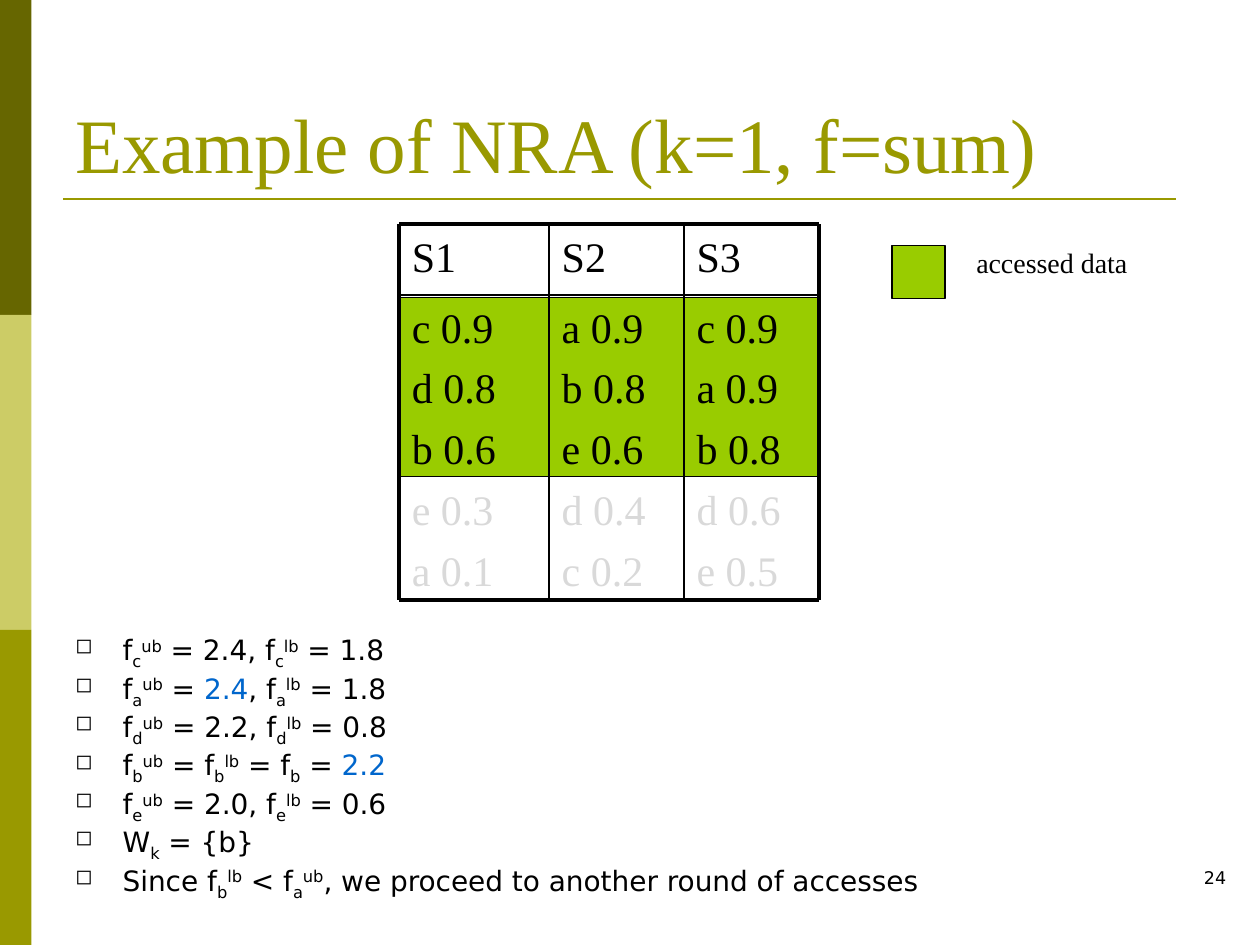
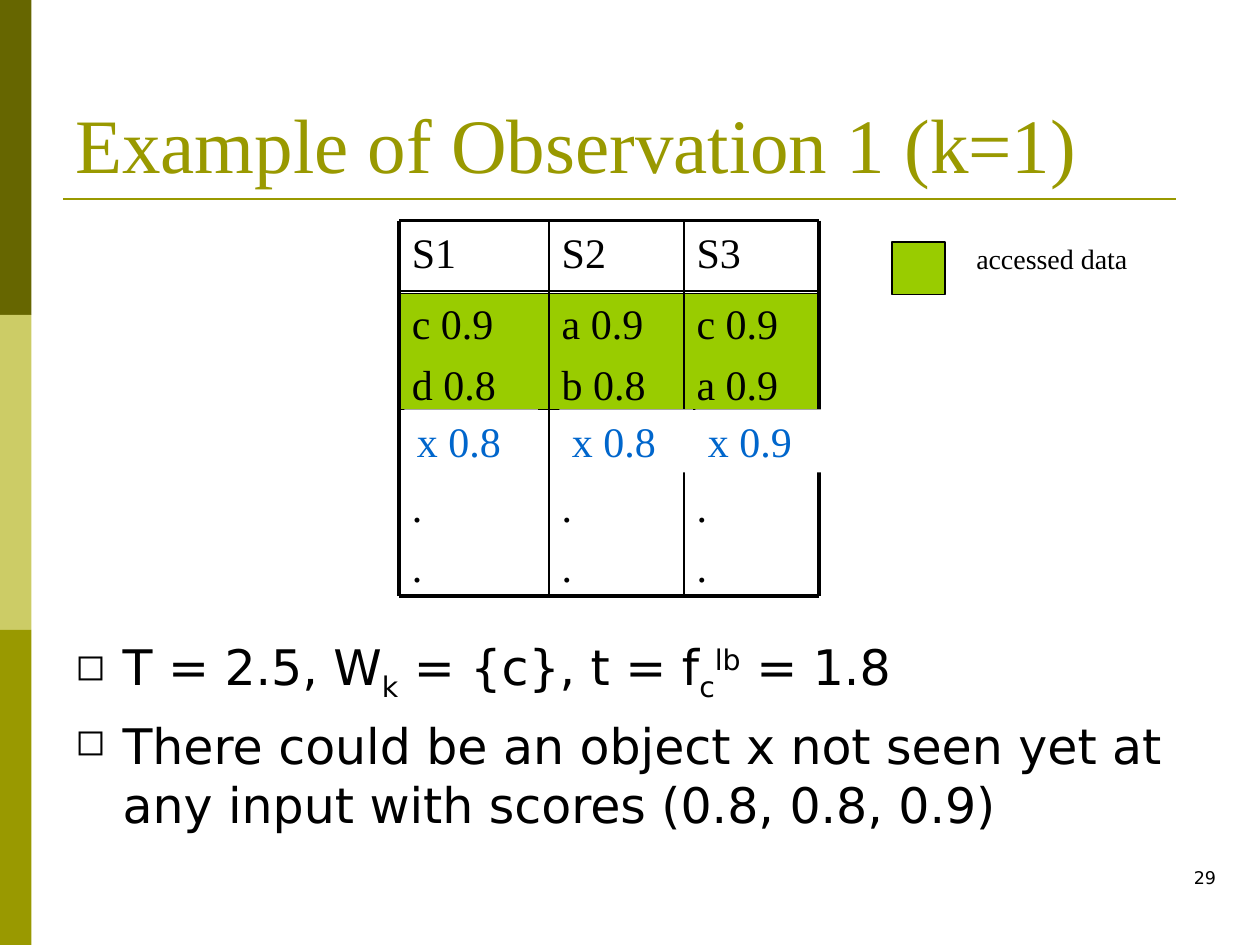
from dataclasses import dataclass
from itertools import accumulate

from lxml import etree
from pptx import Presentation
from pptx import util as u
from pptx.dml.color import RGBColor
from pptx.enum import shapes, text
from pptx.oxml.ns import qn


@dataclass(frozen=True)
class Theme:
    dark: str = "666600"
    pale: str = "CCCC66"
    olive: str = "999900"
    accessed: str = "99CC00"
    ink: str = "000000"
    faded: str = "D9D9D9"
    highlight: str = "0066CC"
    paper: str = "FFFFFF"
    serif: str = "Times New Roman"
    sans: str = "DejaVu Sans"
    title_size: int = 44
    point_size: int = 28
    cell_size: int = 24
    small_size: int = 16
    number_size: int = 10
    thick: float = 2.25
    thin: float = 1


THEME = Theme()
GRID_LEFT = 3.17
COLUMN_WIDTHS = (1.19, 1.07, 1.07)
HEADER_HEIGHT = 0.56
BODY_HEIGHT = 2.42
INDENT = 3 / 8


def subscript(label):
    return label, {"baseline": -25000}


def superscript(label):
    return label, {"baseline": 30000}


def blue(label):
    return label, {"color": THEME.highlight}


def faded(*scores):
    return [(score, {"color": THEME.faded}) for score in scores]


def bound(item, kind):
    return ["f", subscript(item), superscript(kind)]


def write(frame, paragraphs, font=THEME.serif, size=THEME.cell_size, color=THEME.ink,
          align=None, before=0, spacing=None, bullet=False):
    for index, runs in enumerate(paragraphs):
        paragraph = frame.paragraphs[0] if index == 0 else frame.add_paragraph()
        paragraph.alignment = align
        paragraph.space_before = u.Pt(before)
        if spacing:
            paragraph.line_spacing = spacing
        if bullet:
            properties = paragraph._p.get_or_add_pPr()
            properties.set("marL", str(u.Inches(INDENT)))
            properties.set("indent", str(-u.Inches(INDENT)))
            etree.SubElement(properties, qn("a:buSzPct"), val="75000")
            etree.SubElement(properties, qn("a:buChar"), char="◻")
        for part in [runs] if isinstance(runs, (str, tuple)) else runs:
            content, change = (part, {}) if isinstance(part, str) else part
            run = paragraph.add_run()
            run.text = content
            run.font.name = font
            run.font.size = u.Pt(size)
            run.font.color.rgb = RGBColor.from_string(change.get("color", color))
            if "baseline" in change:
                run._r.get_or_add_rPr().set("baseline", str(change["baseline"]))


class Deck:
    def __init__(self, theme):
        self.theme = theme
        self.presentation = Presentation()
        self.presentation.slide_width = u.Inches(10)
        self.presentation.slide_height = u.Inches(7.5)
        self.slide = None

    def start(self, title, number, number_left):
        theme = self.theme
        self.slide = self.presentation.slides.add_slide(self.presentation.slide_layouts[6])
        for index, color in enumerate((theme.dark, theme.pale, theme.olive)):
            self.rectangle(0, index * 2.5, 0.25, 2.5, color)
        self.line(0.5, 1.58, 9.33, 1.58, theme.olive, 1.5)
        self.text_box(0.5, -0.02, 9, 1.57, [title], anchor=text.MSO_ANCHOR.BOTTOM,
                      size=theme.title_size, color=theme.olive)
        self.text_box(number_left, 6.83, 2.33, 0.5, [number], font=theme.sans,
                      size=theme.number_size, align=text.PP_ALIGN.RIGHT)

    def rectangle(self, left, top, width, height, fill, outline=None):
        shape = self.slide.shapes.add_shape(
            shapes.MSO_SHAPE.RECTANGLE, *map(u.Inches, (left, top, width, height)))
        shape.shadow.inherit = False
        shape.fill.solid()
        shape.fill.fore_color.rgb = RGBColor.from_string(fill)
        if outline:
            shape.line.color.rgb = RGBColor.from_string(outline)
            shape.line.width = u.Pt(0.75)
        else:
            shape.line.fill.background()
        return shape

    def line(self, left, top, right, bottom, color, width):
        connector = self.slide.shapes.add_connector(
            shapes.MSO_CONNECTOR.STRAIGHT, *map(u.Inches, (left, top, right, bottom)))
        connector.line.color.rgb = RGBColor.from_string(color)
        connector.line.width = u.Pt(width)
        etree.SubElement(connector._element.spPr, qn("a:effectLst"))

    def text_box(self, left, top, width, height, paragraphs,
                 anchor=text.MSO_ANCHOR.TOP, **style):
        box = self.slide.shapes.add_textbox(*map(u.Inches, (left, top, width, height)))
        box.text_frame.word_wrap = True
        box.text_frame.vertical_anchor = anchor
        write(box.text_frame, paragraphs, **style)

    def bullets(self, height, paragraphs, **style):
        self.text_box(0.5, 5, 9.17, height, paragraphs,
                      font=self.theme.sans, bullet=True, **style)

    def score_lists(self, top, columns, accessed_height):
        theme = self.theme
        edges = list(accumulate(COLUMN_WIDTHS, initial=GRID_LEFT))
        levels = list(accumulate((HEADER_HEIGHT, BODY_HEIGHT), initial=top))
        left, right, bottom = edges[0], edges[-1], levels[-1]
        self.rectangle(left, top + 0.58, right - left, accessed_height,
                       theme.accessed, theme.ink)
        for index, (edge, width, scores) in enumerate(zip(edges, COLUMN_WIDTHS, columns), 1):
            self.text_box(edge, top, width, HEADER_HEIGHT, [f"S{index}"], before=6)
            self.text_box(edge, levels[1], width, BODY_HEIGHT, scores, before=6)
        for edge in edges:
            weight = theme.thick if edge in (left, right) else theme.thin
            self.line(edge, top, edge, bottom, theme.ink, weight)
        for level in levels:
            weight = theme.thick if level in (top, bottom) else theme.thin
            self.line(left, level, right, level, theme.ink, weight)

    def legend(self, grid_top):
        theme = self.theme
        self.rectangle(7.08, grid_top + 0.17, 0.42, 0.42, theme.accessed, theme.ink)
        self.text_box(7.65, grid_top + 0.12, 1.96, 0.4, ["accessed data"],
                      size=theme.small_size)

    def unseen_score(self, left, score):
        shape = self.rectangle(left, 3.25, 1.06, 0.5, self.theme.paper)
        shape.text_frame.vertical_anchor = text.MSO_ANCHOR.TOP
        write(shape.text_frame, [score], color=self.theme.highlight,
              align=text.PP_ALIGN.LEFT)


def nra_slide(deck):
    top = 1.78
    deck.start("Example of NRA (k=1, f=sum)", "24", 7.5)
    deck.bullets(2.38, [
        [*bound("c", "ub"), " = 2.4, ", *bound("c", "lb"), " = 1.8"],
        [*bound("a", "ub"), " = ", blue("2.4"), ", ", *bound("a", "lb"), " = 1.8"],
        [*bound("d", "ub"), " = 2.2, ", *bound("d", "lb"), " = 0.8"],
        [*bound("b", "ub"), " = ", *bound("b", "lb"), " = f", subscript("b"), " = ", blue("2.2")],
        [*bound("e", "ub"), " = 2.0, ", *bound("e", "lb"), " = 0.6"],
        ["W", subscript("k"), " = {b}"],
        ["Since ", *bound("b", "lb"), " < ", *bound("a", "ub"),
         ", we proceed to another round of accesses"],
    ], size=THEME.small_size, before=4.5, spacing=0.8)
    deck.score_lists(top, [
        ["c 0.9", "d 0.8", "b 0.6", *faded("e 0.3", "a 0.1")],
        ["a 0.9", "b 0.8", "e 0.6", *faded("d 0.4", "c 0.2")],
        ["c 0.9", "a 0.9", "b 0.8", *faded("d 0.6", "e 0.5")],
    ], 1.42)
    deck.legend(top)


def observation_slide(deck):
    top = 1.75
    deck.start("Example of Observation 1 (k=1)", "29", 7.42)
    seen = [("c 0.9", "d 0.8"), ("a 0.9", "b 0.8"), ("c 0.9", "a 0.9")]
    deck.score_lists(top, [[*scores, ".", ".", "."] for scores in seen], 0.92)
    deck.bullets(1.92, [
        ["T = 2.5, W", subscript("k"), " = {c}, t = ", *bound("c", "lb"), " = 1.8"],
        "There could be an object x not seen yet at any input with scores (0.8, 0.8, 0.9)",
    ], size=THEME.point_size, before=7)
    deck.legend(top)
    for left, score in ((4.44, "x 0.8"), (3.21, "x 0.8"), (5.52, "x 0.9")):
        deck.unseen_score(left, score)


def main():
    deck = Deck(THEME)
    nra_slide(deck)
    observation_slide(deck)
    deck.presentation.save("out.pptx")


if __name__ == "__main__":
    main()
